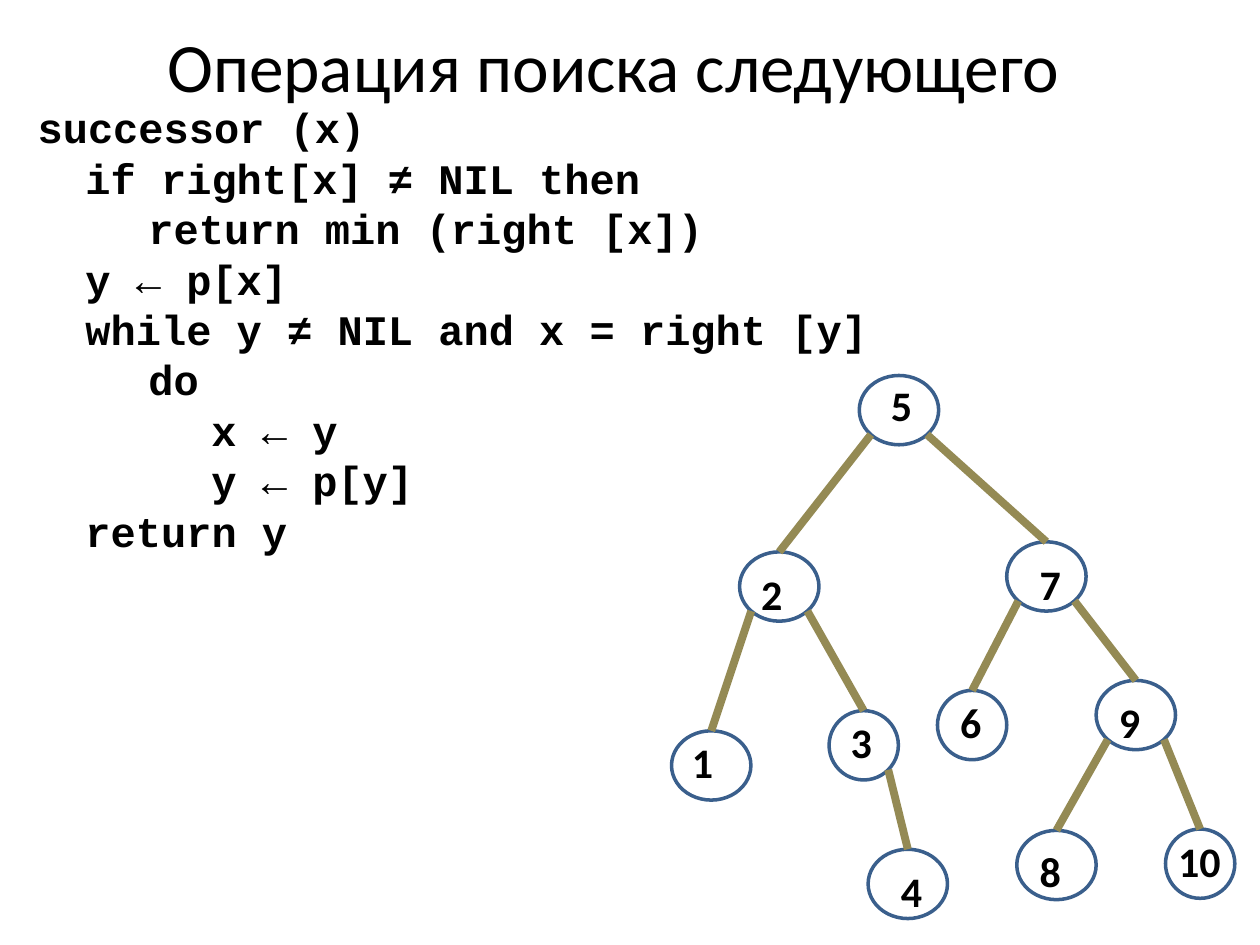
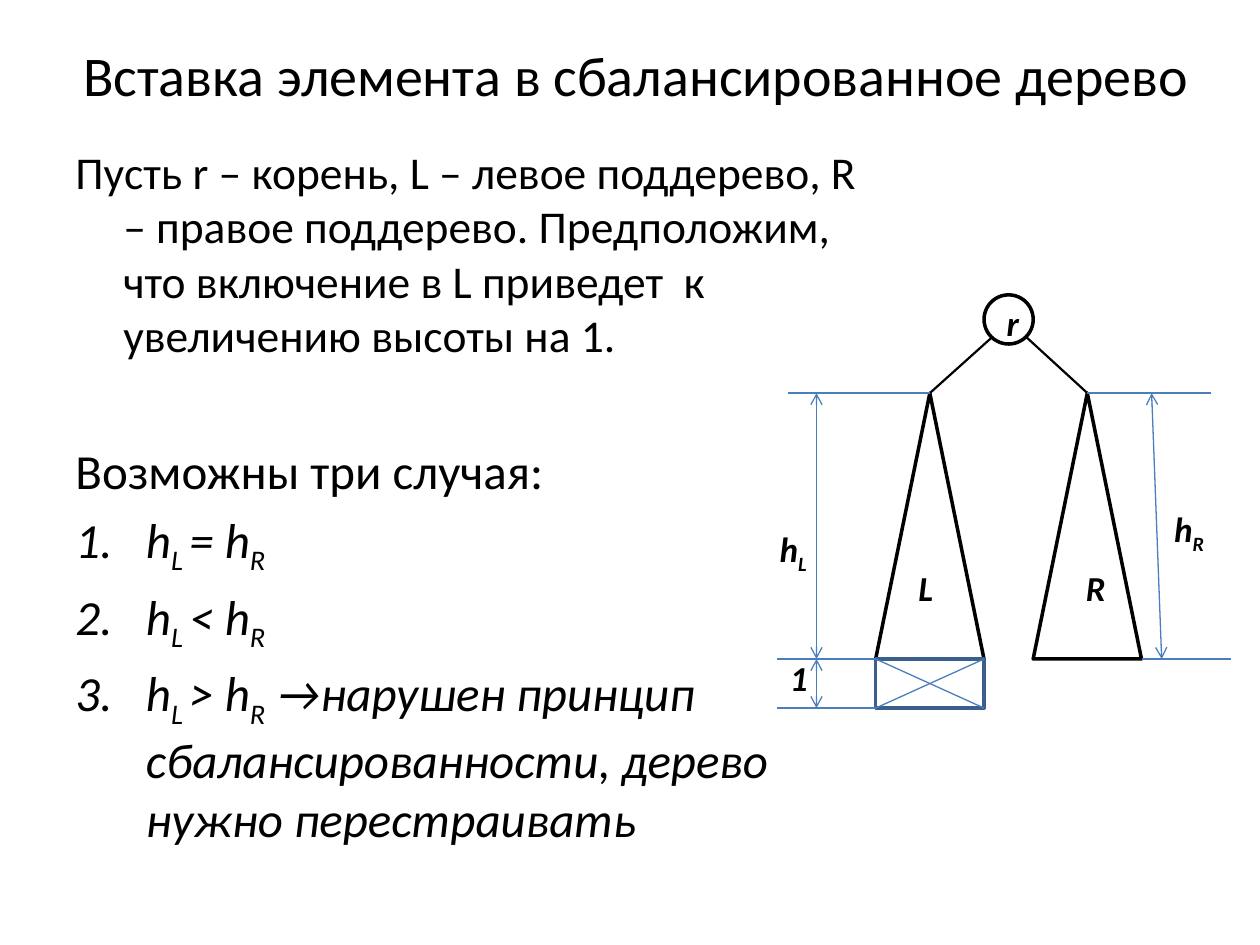
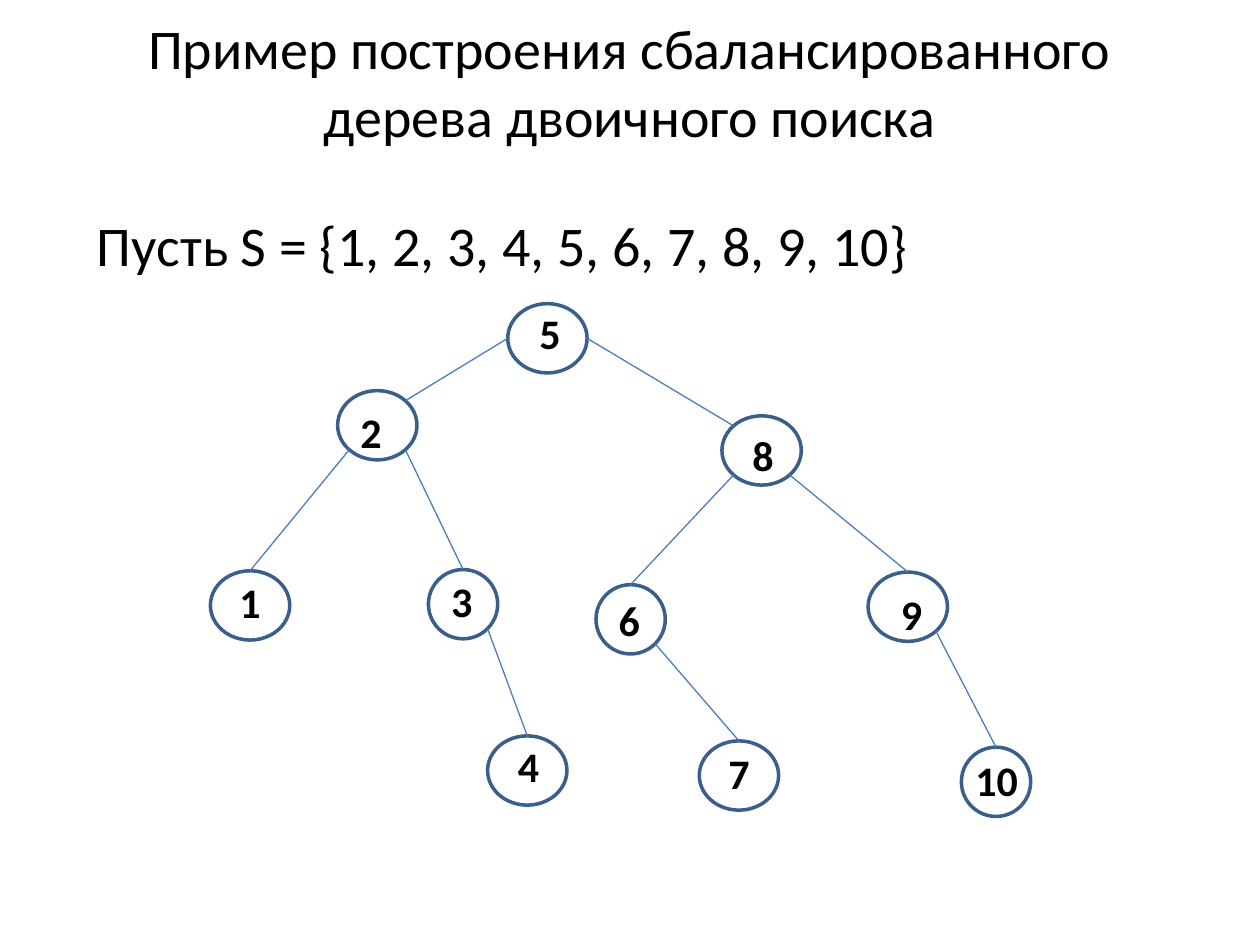
from collections import namedtuple

from pptx import Presentation
from pptx.dml.color import RGBColor
from pptx.enum.shapes import MSO_CONNECTOR, MSO_SHAPE
from pptx.enum.text import MSO_ANCHOR, MSO_AUTO_SIZE, PP_ALIGN
from pptx.oxml.ns import qn
from pptx.util import Pt
from lxml.etree import SubElement

PX = 9144
PAGE_SIZE = (1000, 750)
COLORS = {"ink": "000000", "outline": "3A5F8C", "guide": "4B7EBC", "branch": "948A54"}
TEXT_FONT, CODE_FONT = "Calibri", "Courier New"
INDENT, LIST_INDENT = 38, 56
NODE_HEIGHT, LABEL_HEIGHT = 55, 50
DIAGONAL = 0.146

Node = namedtuple("Node", "parent left top width label_dx label_dy")

CODE = [
    (0, "successor (x)"),
    (1, "if right[x] ≠ NIL then"),
    (2, "return min (right [x])"),
    (1, "y ← p[x]"),
    (1, "while y ≠ NIL and x = right [y]"),
    (2, "do"),
    (3, "x ← y"),
    (3, "y ← p[y]"),
    (1, "return y"),
]
SEARCH_TREE = {
    5: Node(None, 149, 0, 63, 15, -2),
    7: Node(5, 266, 132, 63, 16, 8),
    1: Node(2, 0, 282, 63, 6, 0),
    3: Node(2, 125, 266, 55, 7, 0),
    6: Node(7, 211, 250, 55, 8, 0),
    10: Node(9, 392, 360, 55, 0, 0),
    4: Node(3, 156, 376, 63, 16, 8),
    2: Node(5, 54, 140, 63, 7, 8),
    8: Node(9, 274, 361, 63, 8, 7),
    9: Node(7, 337, 242, 63, 8, 8),
}
BALANCED_TREE = {
    5: Node(None, 236, 0, 63, 15, -2),
    8: Node(5, 406, 89, 63, 14, 6),
    1: Node(2, 0, 212, 63, 13, 0),
    3: Node(2, 173, 211, 55, 8, 0),
    6: Node(8, 306, 223, 55, 8, 3),
    10: Node(9, 596, 352, 55, 1, 1),
    4: Node(3, 220, 343, 63, 14, -1),
    2: Node(5, 101, 69, 63, 8, 8),
    7: Node(6, 388, 347, 63, 13, 0),
    9: Node(8, 522, 213, 63, 16, 8),
}
INTRO = ("Пусть r – корень, L – левое поддерево, R – правое поддерево. "
         "Предположим, что включение в L приведет  к увеличению высоты на 1.")
CASES = [
    ("h", "L ", "= h", "R"),
    ("h", "L ", "< h", "R"),
    ("h", "L ", "> h", "R", " →нарушен принцип сбалансированности, дерево нужно перестраивать"),
]


def emu(*lengths):
    """Turn px lengths into EMU."""
    return [round(length * PX) for length in lengths]


def color(name):
    """Look up a palette colour."""
    return RGBColor.from_string(COLORS[name])


def style_runs(para, size, font=TEXT_FONT, bold=False, italic=False):
    """Format every run of a paragraph."""
    for span in para.runs:
        span.font.size = Pt(size)
        span.font.name = font
        span.font.bold = bold
        span.font.italic = italic
        span.font.color.rgb = color("ink")


def add_pieces(para, pieces):
    """Add runs that alternate between normal text and subscript."""
    for index, piece in enumerate(pieces):
        span = para.add_run()
        span.text = piece
        if index % 2:
            span.font._element.set("baseline", "-25000")


def set_indent(para, indent):
    """Give a paragraph a hanging indent."""
    properties = para._p.get_or_add_pPr()
    properties.set("marL", str(indent * PX))
    properties.set("indent", str(-indent * PX))
    return properties


def add_frame(slide, box):
    """Add a wrapping text box and return its frame."""
    frame = slide.shapes.add_textbox(*emu(*box)).text_frame
    frame.word_wrap = True
    return frame


def add_paragraph(frame, first):
    """Return the opening paragraph of a frame or a new one."""
    return frame.paragraphs[0] if first else frame.add_paragraph()


def add_title(slide, box, text, size=32):
    """Add the centred slide title."""
    frame = add_frame(slide, box)
    frame.vertical_anchor = MSO_ANCHOR.MIDDLE
    frame.text = text
    frame.paragraphs[0].alignment = PP_ALIGN.CENTER
    style_runs(frame.paragraphs[0], size)


def add_label(slide, box, pieces, size, align=PP_ALIGN.LEFT, italic=False):
    """Add a short bold label that does not wrap."""
    frame = add_frame(slide, box)
    frame.word_wrap = False
    frame.auto_size = MSO_AUTO_SIZE.SHAPE_TO_FIT_TEXT
    para = frame.paragraphs[0]
    para.alignment = align
    add_pieces(para, pieces)
    style_runs(para, size, bold=True, italic=italic)


def add_outline(slide, kind, box, line_color):
    """Add an unfilled preset shape."""
    shape = slide.shapes.add_shape(kind, *emu(*box))
    shape.shadow.inherit = False
    shape.fill.background()
    shape.line.color.rgb = color(line_color)
    shape.line.width = Pt(2)
    return shape


def add_line(slide, start, end, line_color="guide", weight=0.75, arrows=False):
    """Add a straight line, with arrowheads at both ends if asked."""
    line = slide.shapes.add_connector(MSO_CONNECTOR.STRAIGHT, *emu(*start, *end))
    line.line.color.rgb = color(line_color)
    line.line.width = Pt(weight)
    if arrows:
        for tag in ("a:headEnd", "a:tailEnd"):
            SubElement(line.line._get_or_add_ln(), qn(tag), type="arrow")
    SubElement(line._element.spPr, qn("a:effectLst"))
    return line


def draw_code(slide, box):
    """Write the pseudocode with one tab for each level."""
    frame = add_frame(slide, box)
    for index, (depth, text) in enumerate(CODE):
        para = add_paragraph(frame, index == 0)
        para.text = "\t" * depth + text
        para.line_spacing = Pt(28.8)
        set_indent(para, INDENT)
        style_runs(para, 24, CODE_FONT, bold=True)


def draw_tree(slide, origin, nodes, line_color, weight, wide_root=False):
    """Draw nodes, branches and numbers of a binary tree."""
    left, top = origin

    def point(node, across, down):
        """Find a point at given fractions of a node's box."""
        return left + node.left + across * node.width, top + node.top + down * NODE_HEIGHT

    for node in nodes.values():
        box = (left + node.left, top + node.top, node.width, NODE_HEIGHT)
        add_outline(slide, MSO_SHAPE.OVAL, box, "outline")
    for value, node in nodes.items():
        if node.parent is None:
            continue
        parent = nodes[node.parent]
        is_left = value < node.parent
        if wide_root and parent.parent is None:
            start = point(parent, 0 if is_left else 1, 0.5)
            end = point(node, 1 - DIAGONAL if is_left else DIAGONAL, DIAGONAL)
        else:
            start = point(parent, DIAGONAL if is_left else 1 - DIAGONAL, 1 - DIAGONAL)
            end = point(node, 0.5, 0)
        add_line(slide, start, end, line_color, weight)
    for value, node in nodes.items():
        box = (left + node.left + node.label_dx, top + node.top + node.label_dy,
               54 if value > 9 else 37, LABEL_HEIGHT)
        add_label(slide, box, [str(value)], 24, PP_ALIGN.CENTER)


def draw_cases(slide, box):
    """Write the assumption and the numbered cases."""
    frame = add_frame(slide, box)
    for index, (text, size, gap) in enumerate([(INTRO, 26, 5.2), ("Возможны три случая:", 28, 45)]):
        para = add_paragraph(frame, index == 0)
        para.text = text
        para.space_before = Pt(gap)
        set_indent(para, INDENT)
        style_runs(para, size)
    for pieces in CASES:
        para = frame.add_paragraph()
        para.space_before = Pt(5.6)
        SubElement(set_indent(para, LIST_INDENT), qn("a:buAutoNum"), type="arabicPeriod")
        add_pieces(para, pieces)
        style_runs(para, 28, italic=True)


def draw_subtrees(slide, origin):
    """Draw the root, both subtrees and their height marks."""
    left, top = origin
    width, height, extra = 86, 211, 39
    apex, base = top + 78, top + 78 + height
    bottom = base + extra
    left_tree, right_tree = left + 86, left + 211
    add_outline(slide, MSO_SHAPE.OVAL, (left + 172, top, 39, 39), "ink")
    for tree, root_x in ((left_tree, left + 178), (right_tree, left + 206)):
        triangle = add_outline(slide, MSO_SHAPE.ISOSCELES_TRIANGLE, (tree, apex, width, height), "ink")
        leg = add_line(slide, (root_x, top + 34), (tree + width / 2, apex), "ink", 1.25)
        leg.end_connect(triangle, 0)
    add_outline(slide, MSO_SHAPE.RECTANGLE, (left_tree, base, width, extra), "outline")
    add_line(slide, (left_tree, base), (left_tree + width, bottom))
    add_line(slide, (left_tree + width, base), (left_tree, bottom))
    for start, end, y in (
        (left_tree + width / 2, left + 16, apex),
        (left_tree, left + 8, base),
        (left_tree, left + 8, bottom),
        (right_tree + width / 2, left + 352, apex),
        (right_tree + width, left + 368, base),
    ):
        add_line(slide, (start, y), (end, y))
    for start_x, end_x, start_y, end_y in (
        (39, 39, apex, base), (39, 39, base, bottom), (305, 313, apex, base),
    ):
        add_line(slide, (left + start_x, start_y), (left + end_x, end_y), arrows=True)
    for x, y, label_width, pieces in (
        (180, 0, 30, "r"), (110, 211, 32, "L"), (243, 211, 36, "R"),
        (0, 180, 43, "hL"), (8, 282, 34, "1"), (313, 164, 45, "hR"),
    ):
        add_label(slide, (left + x, top + y, label_width, 44), pieces, 20, italic=True)


def draw_set(slide, box):
    """Write the set that the tree is built from."""
    para = add_frame(slide, box).paragraphs[0]
    para.text = "Пусть S = {1, 2, 3, 4, 5, 6, 7, 8, 9, 10}"
    para.space_before = Pt(6.4)
    set_indent(para, INDENT)
    style_runs(para, 32)


def build_successor(slide):
    """Build the slide on finding the next element."""
    add_title(slide, (43, 21, 900, 61), "Операция поиска следующего ", 39.6)
    draw_code(slide, (20, 76, 682, 378))
    draw_tree(slide, (533, 298), SEARCH_TREE, "branch", 4.5)


def build_insertion(slide):
    """Build the slide on inserting into a balanced tree."""
    add_title(slide, (55, 23, 900, 72), "Вставка элемента в сбалансированное дерево")
    draw_cases(slide, (50, 109, 645, 561))
    draw_subtrees(slide, (609, 234))


def build_example(slide):
    """Build the slide with the balanced tree example."""
    add_title(slide, (50, 21, 900, 87), "Пример построения сбалансированного дерева двоичного поиска")
    draw_set(slide, (67, 162, 900, 75))
    draw_tree(slide, (167, 241), BALANCED_TREE, "guide", 0.75, wide_root=True)


def main():
    """Build and save the deck."""
    deck = Presentation()
    deck.slide_width, deck.slide_height = emu(*PAGE_SIZE)
    for build in (build_successor, build_insertion, build_example):
        build(deck.slides.add_slide(deck.slide_layouts[6]))
    deck.save("out.pptx")


if __name__ == "__main__":
    main()
